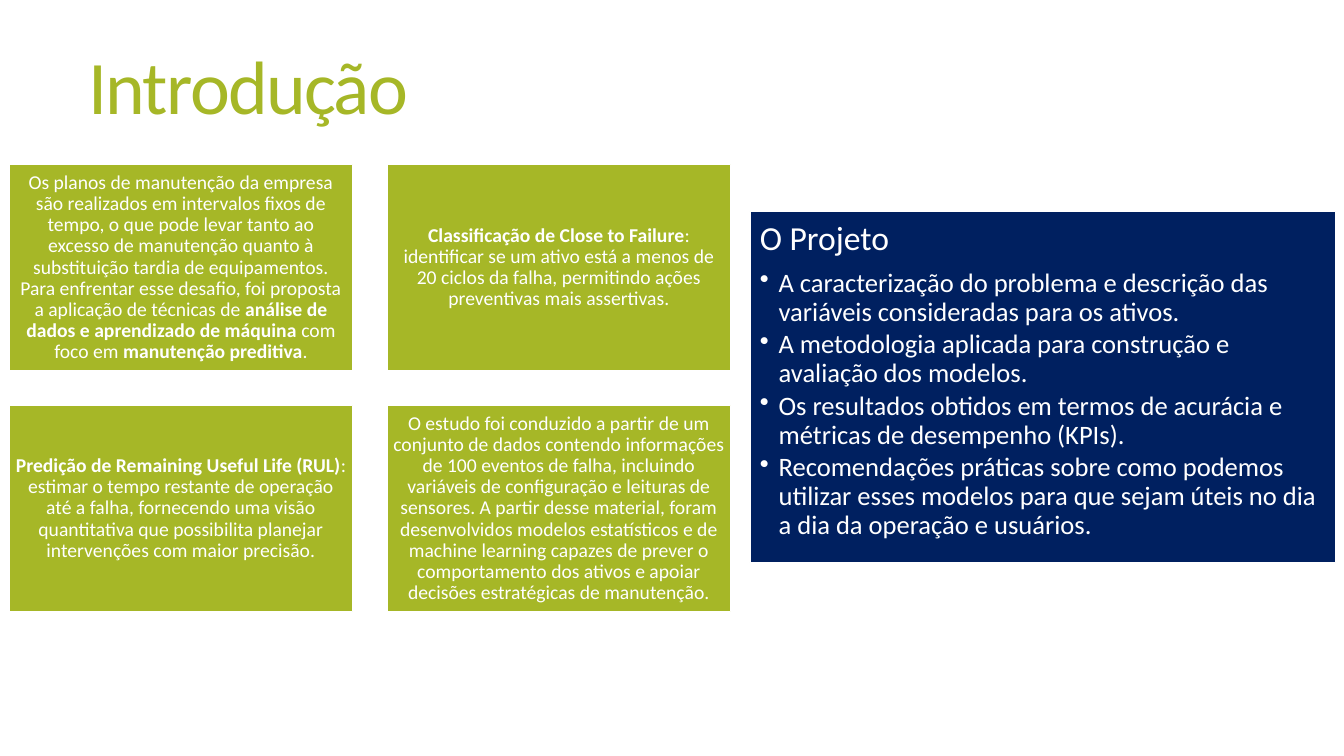
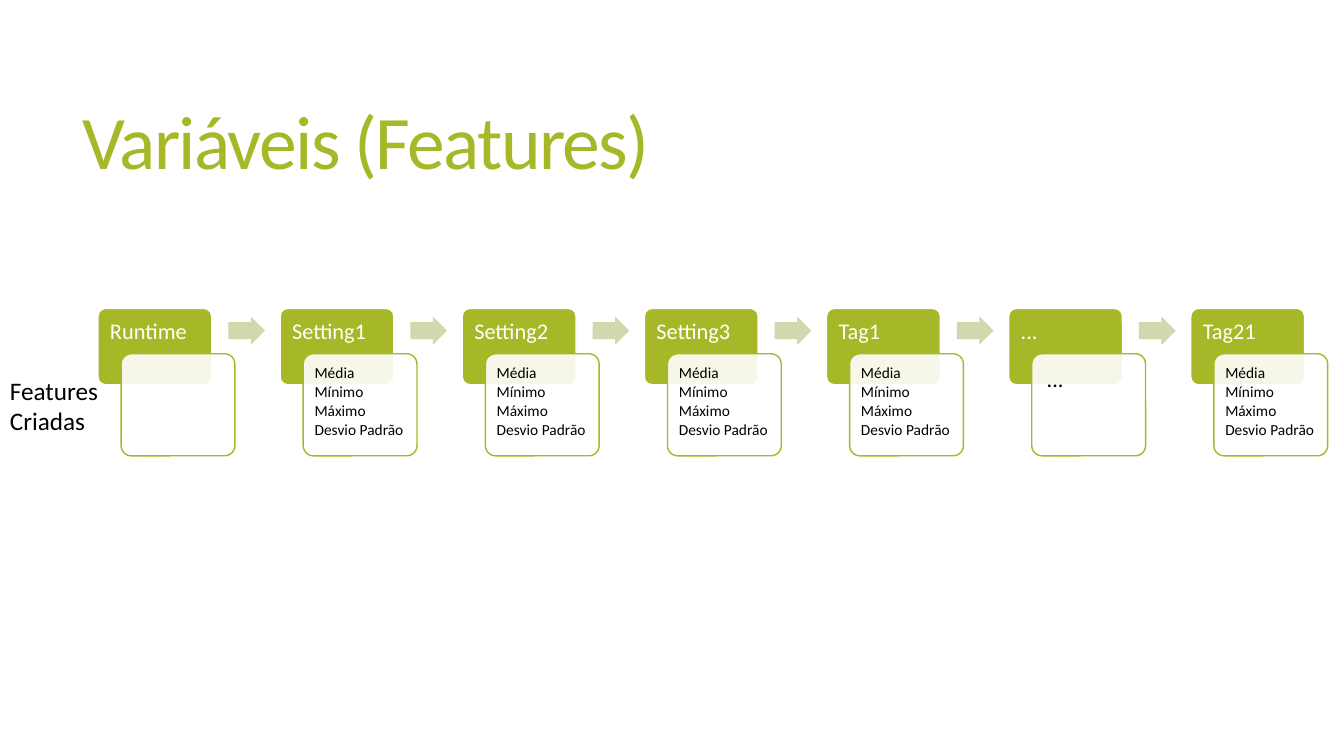
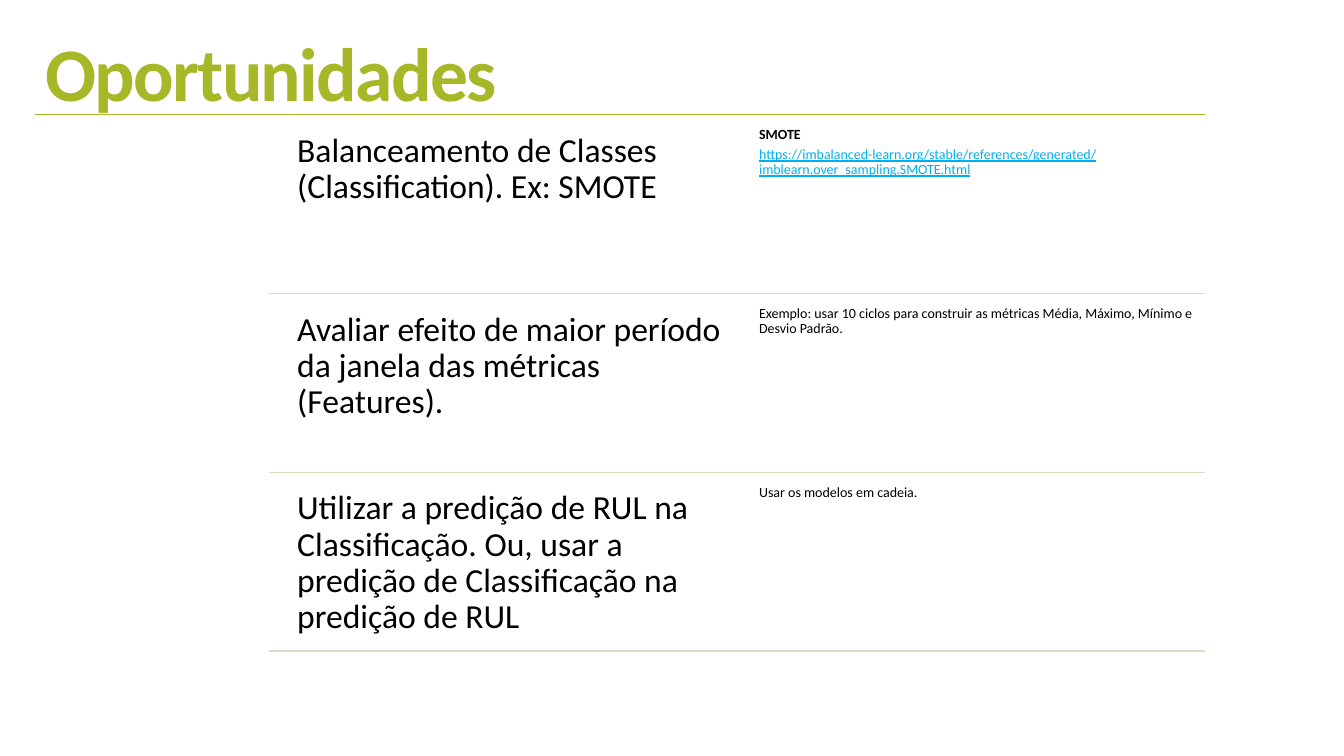
"""Build a three-slide deck on predictive maintenance."""
from dataclasses import dataclass
from typing import Any, Optional

from lxml.etree import SubElement as Sub
from pptx import Presentation
from pptx.dml.color import RGBColor as Rgb
from pptx.enum.shapes import MSO_CONNECTOR as Link, MSO_SHAPE as Kind
from pptx.enum.text import MSO_ANCHOR as Anchor, PP_ALIGN as Align
from pptx.oxml.ns import qn
from pptx.util import Pt

FONT = "Calibri"
GREEN, NAVY, WHITE, BLACK = "A6B727", "002060", "FFFFFF", "000000"
PALE, RULE, BLUE = "D0D8AD", "D8DFBE", "00B0F0"
HANG = 13.5


@dataclass
class Box:
    x: float
    y: float
    w: float
    h: float


@dataclass
class Para:
    text: str
    size: float
    color: str = BLACK
    bold: bool = False
    under: bool = False
    bullet: bool = False
    lead: float = 0.9
    after: float = 0.35
    track: int = 0


@dataclass
class Node:
    name: str
    notes: list[Para]


@dataclass
class Row:
    head: str
    notes: list[Para]


def tint(color: str) -> Rgb:
    return Rgb.from_string(color)


def write(frame: Any, paras: list[Para], inset: float = 0,
          anchor: Any = Anchor.TOP, align: Any = Align.LEFT) -> None:
    frame.word_wrap = True
    frame.vertical_anchor = anchor
    if inset:
        frame.margin_left = frame.margin_right = Pt(inset)
        frame.margin_top = frame.margin_bottom = Pt(inset)
    for i, para in enumerate(paras):
        line = frame.add_paragraph() if i else frame.paragraphs[0]
        props = line._p.get_or_add_pPr()
        if para.bullet:
            props.set("marL", str(Pt(HANG)))
            props.set("indent", str(Pt(-HANG)))
            Sub(props, qn("a:buChar")).set("char", "•")
        line.alignment = align
        line.line_spacing = para.lead
        line.space_after = Pt(round(para.size * para.after, 2))
        font = line.font
        font.name, font.size = FONT, Pt(para.size)
        font.bold, font.underline = para.bold, para.under
        font.color.rgb = tint(para.color)
        if para.track:
            props.find(qn("a:defRPr")).set("spc", str(para.track))
        for j, piece in enumerate(para.text.split("**")):
            run = line.add_run()
            run.text = piece
            if j % 2:
                run.font.bold = True


def label(slide: Any, box: Box, paras: list[Para], inset: float = 0,
          anchor: Any = Anchor.TOP) -> None:
    area = slide.shapes.add_textbox(Pt(box.x), Pt(box.y), Pt(box.w), Pt(box.h))
    write(area.text_frame, paras, inset, anchor)


def block(slide: Any, kind: Any, box: Box, fill: str,
          edge: Optional[str] = WHITE, bends: tuple[float, ...] = ()) -> Any:
    shape = slide.shapes.add_shape(kind, Pt(box.x), Pt(box.y), Pt(box.w), Pt(box.h))
    shape.shadow.inherit = False
    shape.fill.solid()
    shape.fill.fore_color.rgb = tint(fill)
    if edge:
        shape.line.color.rgb = tint(edge)
        shape.line.width = Pt(1)
    else:
        shape.line.fill.background()
    for i, bend in enumerate(bends):
        shape.adjustments[i] = bend
    return shape


def rule(slide: Any, left: float, right: float, y: float, color: str) -> None:
    line = slide.shapes.add_connector(Link.STRAIGHT, Pt(left), Pt(y), Pt(right), Pt(y))
    line.line.color.rgb = tint(color)
    line.line.width = Pt(1)
    Sub(line._element.spPr, qn("a:effectLst"))


def start(deck: Any, title: str, x: float, y: float, h: float = 130.5,
          bold: bool = False) -> Any:
    slide = deck.slides.add_slide(deck.slide_layouts[6])
    head = Para(title, 54, GREEN, bold, lead=0.85, after=0, track=-120)
    label(slide, Box(x, y, 848, h), [head], anchor=Anchor.MIDDLE)
    return slide


CARDS = [
    "Os planos de manutenção da empresa são realizados em intervalos fixos de tempo, "
    "o que pode levar tanto ao excesso de manutenção quanto à substituição tardia de "
    "equipamentos. Para enfrentar esse desafio, foi proposta a aplicação de técnicas de "
    "**análise de dados e aprendizado de máquina** com foco em **manutenção preditiva**.",
    "**Classificação de Close to Failure**: identificar se um ativo está a menos de "
    "20 ciclos da falha, permitindo ações preventivas mais assertivas.",
    "**Predição de Remaining Useful Life (RUL)**: estimar o tempo restante de operação "
    "até a falha, fornecendo uma visão quantitativa que possibilita planejar "
    "intervenções com maior precisão.",
    "O estudo foi conduzido a partir de um conjunto de dados contendo informações de "
    "100 eventos de falha, incluindo variáveis de configuração e leituras de sensores. "
    "A partir desse material, foram desenvolvidos modelos estatísticos e de machine "
    "learning capazes de prever o comportamento dos ativos e apoiar decisões "
    "estratégicas de manutenção.",
]
GOALS = [
    "A caracterização do problema e descrição das variáveis consideradas para os ativos.",
    "A metodologia aplicada para construção e avaliação dos modelos.",
    "Os resultados obtidos em termos de acurácia e métricas de desempenho (KPIs).",
    "Recomendações práticas sobre como podemos utilizar esses modelos para que sejam "
    "úteis no dia a dia da operação e usuários.",
]
STATS = [Para(name, 11, after=0.15)
         for name in ("Média", "Mínimo", "Máximo", "Desvio Padrão")]
NODES = [
    Node("Runtime", []),
    *(Node(name, STATS) for name in ("Setting1", "Setting2", "Setting3", "Tag1")),
    Node("...", [Para("...", 16, after=0.15)]),
    Node("Tag21", STATS),
]
ROWS = [
    Row("Balanceamento de Classes (Classification). Ex: SMOTE", [
        Para("SMOTE", 10, bold=True),
        Para("https://imbalanced-learn.org/stable/references/generated/"
             "imblearn.over_sampling.SMOTE.html", 10, BLUE, under=True)]),
    Row("Avaliar efeito de maior período da janela das métricas (Features).", [
        Para("Exemplo: usar 10 ciclos para construir as métricas Média, Máximo, "
             "Mínimo e Desvio Padrão.", 10)]),
    Row("Utilizar a predição de RUL na Classificação. Ou, usar a predição de "
        "Classificação na predição de RUL", [Para("Usar os modelos em cadeia.", 10)]),
]


def intro(deck: Any) -> None:
    slide = start(deck, "Introdução", 56, 0)
    for i, text in enumerate(CARDS):
        row, col = divmod(i, 2)
        box = Box(6.5 + col * 270, 117.5 + row * 172, 245.5, 147.5)
        card = block(slide, Kind.RECTANGLE, box, GREEN)
        write(card.text_frame, [Para(text, 14, WHITE)], 4.2, Anchor.MIDDLE, Align.CENTER)
    panel = block(slide, Kind.RECTANGLE, Box(535.7, 151.2, 418.3, 250.5), NAVY)
    goals = [Para(text, 19, WHITE, bullet=True, after=0.15) for text in GOALS]
    write(panel.text_frame, [Para("O Projeto", 24, WHITE), *goals], 7)


def flow(deck: Any) -> None:
    slide = start(deck, "Variáveis (Features)", 52, 39.5)
    for i, node in enumerate(NODES):
        x, y = 70 + i * 130.1, 220.3
        if i:
            block(slide, Kind.RIGHT_ARROW, Box(x - 37, y + 5.8, 26.2, 20.2),
                  PALE, None, (0.6, 0.5))
        head = block(slide, Kind.ROUNDED_RECTANGLE, Box(x, y, 81.3, 54.5),
                     GREEN, bends=(0.1,))
        write(head.text_frame, [Para(node.name, 16, WHITE)], 7)
        card = block(slide, Kind.ROUNDED_RECTANGLE, Box(x + 16.5, y + 32.4, 81.3, 72.9),
                     WHITE, GREEN, (0.1,))
        shade = card._element.spPr.find(qn("a:solidFill"))[0]
        Sub(shade, qn("a:alpha")).set("val", "90000")
        if node.notes:
            write(card.text_frame, node.notes, 8.5 if node.notes[0].size > 11 else 6)
    label(slide, Box(0, 264.2, 80, 51),
          [Para(text, 18, lead=1, after=0) for text in ("Features", "Criadas")])


def ideas(deck: Any) -> None:
    slide = start(deck, "Oportunidades", 25.2, 22.3, 67, True)
    rule(slide, 25.2, 861, 82, GREEN)
    for i, row in enumerate(ROWS):
        y = 87.9 + i * 127.8
        label(slide, Box(205.2, y, 322, 121.6), [Para(row.head, 24)], 7.2)
        label(slide, Box(539.2, y, 322, 121.6), row.notes, 3)
        rule(slide, 192.2, 861, y + 121.6, RULE)


def main() -> None:
    deck = Presentation()
    deck.slide_width, deck.slide_height = Pt(960), Pt(540)
    intro(deck)
    flow(deck)
    ideas(deck)
    deck.save("out.pptx")


if __name__ == "__main__":
    main()
